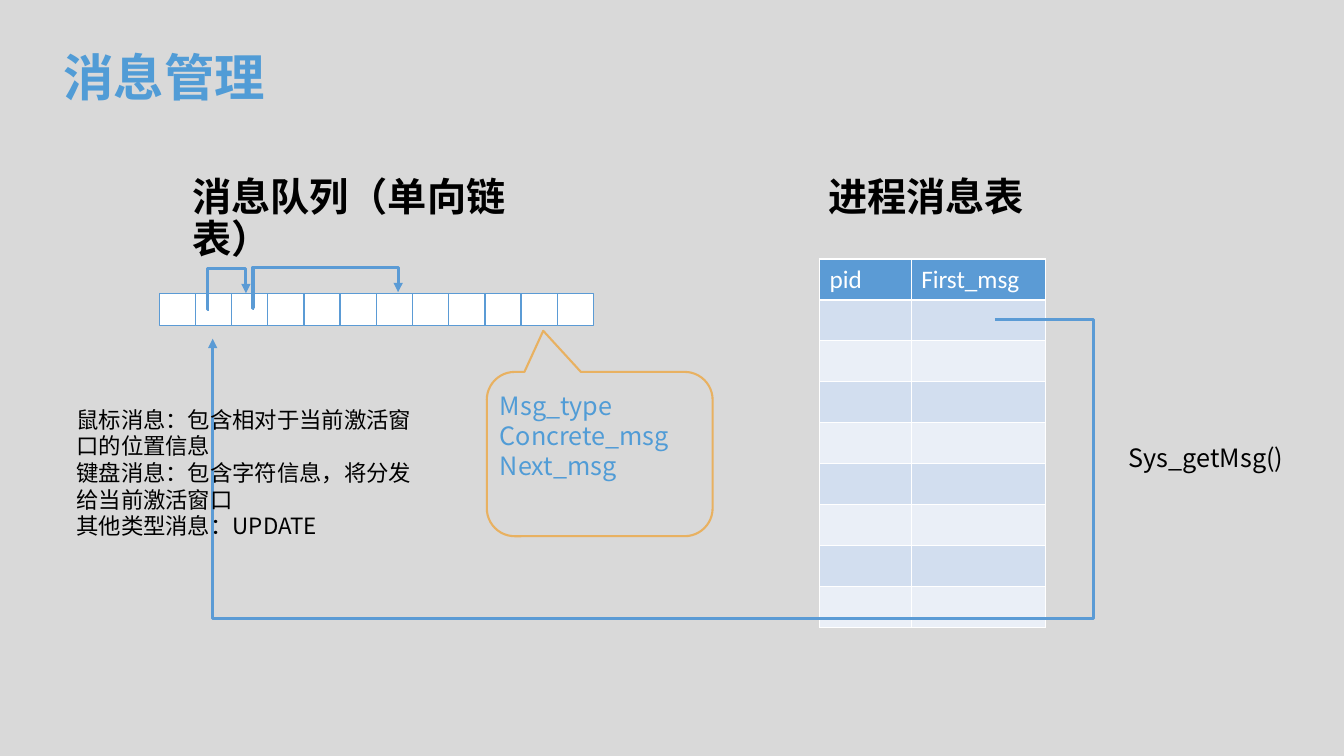
from pptx import Presentation
from pptx.dml.color import RGBColor
from pptx.enum.shapes import MSO_CONNECTOR, MSO_SHAPE
from pptx.enum.text import PP_ALIGN
from pptx.oxml.ns import qn
from pptx.util import Emu, Pt
from lxml import etree

RECT = MSO_SHAPE.RECTANGLE
CALLOUT = MSO_SHAPE.ROUNDED_RECTANGULAR_CALLOUT
ELBOW = MSO_CONNECTOR.ELBOW
LEFT, JUSTIFY = PP_ALIGN.LEFT, PP_ALIGN.JUSTIFY

PX = 9144  # 100 px to the inch
FONT = "Noto Sans CJK SC"
BLUE, TITLE_BLUE, ORANGE = "5B9BD5", "519CD6", "E8B161"
WHITE, BLACK, GREY = "FFFFFF", "000000", "D9D9D9"
BANDS = ("D2DEEF", "EAEFF7")


def px(n):
    return Emu(round(n * PX))


def rgb(color):
    return RGBColor.from_string(color)


def add_text(slide, box, lines, size, color=BLACK, bold=False,
             align=LEFT, pitch=1.19):
    tf = slide.shapes.add_textbox(*map(px, box)).text_frame
    tf.word_wrap = True
    for i, line in enumerate(lines):
        p = tf.paragraphs[0] if i == 0 else tf.add_paragraph()
        p.alignment = align
        p.line_spacing = Pt(round(size * pitch, 1))
        r = p.add_run()
        r.text = line
        r.font.name = FONT
        r.font.size = Pt(size)
        r.font.bold = bold
        r.font.color.rgb = rgb(color)
        ea = etree.SubElement(r.font._element, qn("a:ea"))
        ea.set("typeface", FONT)


def add_outline(slide, kind, box, line, width, fill=None):
    sp = slide.shapes.add_shape(kind, *map(px, box))
    sp.shadow.inherit = False
    if fill:
        sp.fill.solid()
        sp.fill.fore_color.rgb = rgb(fill)
    else:
        sp.fill.background()
    sp.line.color.rgb = rgb(line)
    sp.line.width = Pt(width)
    return sp


def add_elbow(slide, start, bend, end):
    """Arrow that runs sideways to bend x, then to bend y, then to its end."""
    cxn = slide.shapes.add_connector(ELBOW, *map(px, start + end))
    cxn.line.color.rgb = rgb(BLUE)
    cxn.line.width = Pt(2.25)
    sp_pr = cxn._element.spPr

    # A leftward arrow is a half turn with a vertical flip
    xfrm = sp_pr.find(qn("a:xfrm"))
    if end[0] < start[0]:
        xfrm.attrib.pop("flipH")
        xfrm.set("rot", "10800000")
        xfrm.set("flipV", "1" if end[1] > start[1] else "0")

    # Bends as shares of the distance from start to end
    geom = sp_pr.find(qn("a:prstGeom"))
    geom.set("prst", "bentConnector4")
    guides = geom.find(qn("a:avLst"))
    for i, (a, b, c) in enumerate(zip(start, bend, end), 1):
        share = round((b - a) / (c - a) * 100000)
        etree.SubElement(guides, qn("a:gd"), name=f"adj{i}", fmla=f"val {share}")

    etree.SubElement(sp_pr.find(qn("a:ln")), qn("a:tailEnd"), type="triangle")
    etree.SubElement(sp_pr, qn("a:effectLst"))


def add_queue(slide, left, top, count, pitch, height):
    for i in range(count):
        box = (left + i * pitch, top, pitch, height)
        add_outline(slide, RECT, box, BLUE, 1, WHITE)


def add_message_table(slide, left, top, widths, row_height, headers, rows):
    frame = slide.shapes.add_table(rows, len(widths), px(left), px(top),
                                   px(sum(widths)), px(row_height * rows))
    table = frame.table
    for col, width in zip(table.columns, widths):
        col.width = px(width)
    for i, row in enumerate(table.rows):
        row.height = px(row_height)
        for cell in row.cells:
            cell.fill.solid()
            cell.fill.fore_color.rgb = rgb(BANDS[(i - 1) % 2] if i else BLUE)
    for cell, header in zip(table.rows[0].cells, headers):
        cell.text = header
        font = cell.text_frame.paragraphs[0].font
        font.name = "Calibri"
        font.size = Pt(18)
        font.bold = False
        font.color.rgb = rgb(WHITE)


def main():
    prs = Presentation()
    prs.slide_width, prs.slide_height = Emu(12192000), Emu(6858000)
    slide = prs.slides.add_slide(prs.slide_layouts[6])
    slide.background.fill.solid()
    slide.background.fill.fore_color.rgb = rgb(GREY)

    # Headings
    add_text(slide, (181, 171, 403, 57), ["消息队列（单向链表）"], 28,
             bold=True, pitch=1.07)
    add_text(slide, (812, 171, 219, 58), ["进程消息表"], 28,
             bold=True, pitch=1.07)

    # Message queue and the fields of one message
    add_queue(slide, 158, 291, 12, 35.9, 32)
    callout = add_outline(slide, CALLOUT, (483, 369, 224, 163), ORANGE, 1.5)
    callout._element.spPr.find(qn("a:xfrm")).set("flipV", "1")
    for i, share in enumerate((-0.25, 0.75, 0.17)):
        callout.adjustments[i] = share
    add_text(slide, (486, 383, 222, 128),
             ["Msg_type", "Concrete_msg", "Next_msg"], 18, TITLE_BLUE)

    # Links between messages
    add_elbow(slide, (207, 307), (206, 266), (244, 291))
    add_elbow(slide, (252, 306), (251, 265), (395, 290))

    # Process table and its link into the queue
    add_message_table(slide, 813, 257, (91, 133), 40.6,
                      ("pid", "First_msg"), 9)
    add_elbow(slide, (987, 317), (1085, 613), (211, 336))

    # Labels and title
    add_text(slide, (1110, 434, 193, 40), ["Sys_getMsg()"], 18)
    add_text(slide, (53, 41, 256, 71), ["消息管理"], 36, TITLE_BLUE,
             bold=True, align=JUSTIFY)
    add_text(slide, (66, 398, 367, 148),
             ["鼠标消息：包含相对于当前激活窗口的位置信息",
              "键盘消息：包含字符信息，将分发给当前激活窗口",
              "其他类型消息：UPDATE"], 16)

    prs.save("out.pptx")


if __name__ == "__main__":
    main()
